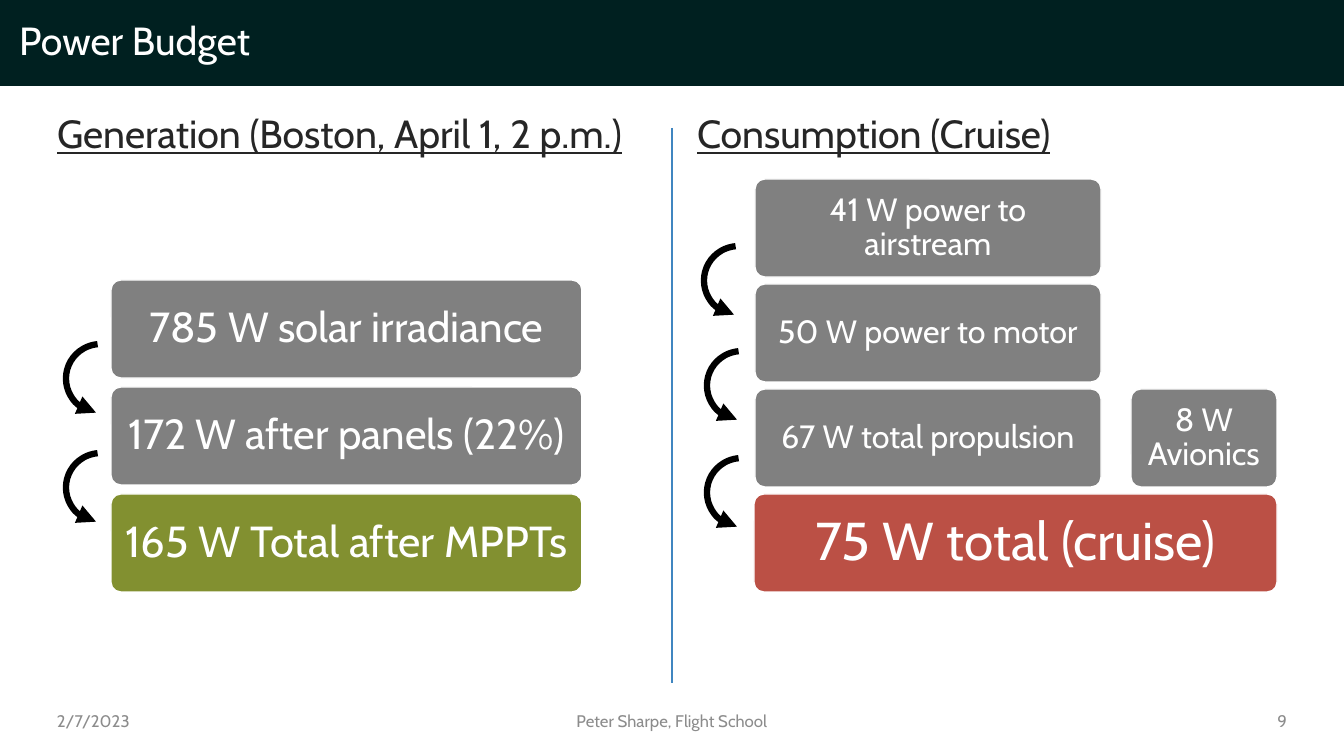
from dataclasses import dataclass

import lxml.etree
import pptx
import pptx.dml.color
import pptx.enum.shapes
import pptx.enum.text
import pptx.oxml.ns
import pptx.shapes.autoshape
import pptx.shapes.base
import pptx.slide
import pptx.text.text
import pptx.util

PX_PER_INCH = 100.8
SHAPE = pptx.enum.shapes.MSO_SHAPE
ALIGN = pptx.enum.text.PP_ALIGN
ANCHOR = pptx.enum.text.MSO_ANCHOR


@dataclass(frozen=True)
class Theme:
    font: str = "Cabin"
    band: str = "002020"
    white: str = "FFFFFF"
    heading: str = "262626"
    footer: str = "8C8C8C"
    divider: str = "4086C0"
    stage: str = "808080"
    generated: str = "829030"
    consumed: str = "BB5045"
    arrow: str = "000000"
    heading_size: int = 28
    footer_size: int = 12
    generation_size: int = 30
    generated_size: int = 31
    consumption_size: int = 23
    consumed_size: int = 38


@dataclass(frozen=True)
class Frame:
    left: int
    top: int
    width: int
    height: int


@dataclass(frozen=True)
class PowerBox:
    words: str
    left: int
    top: int
    width: int
    fill: str
    size: int


@dataclass(frozen=True)
class FooterItem:
    words: str
    frame: Frame
    align: ALIGN


THEME = Theme()
BOX_HEIGHT = 98
BOTTOM_ROW = 494
GENERATION_PITCH = 107
CONSUMPTION_PITCH = 105

POWER_BOXES = [
    *(PowerBox(words, 111, BOTTOM_ROW - row * GENERATION_PITCH, 471,
               THEME.stage, THEME.generation_size)
      for row, words in enumerate(["172 W after panels (22%)", "785 W solar irradiance"], 1)),
    PowerBox("165 W Total after MPPTs", 111, BOTTOM_ROW, 471,
             THEME.generated, THEME.generated_size),
    *(PowerBox(words, 755, BOTTOM_ROW - row * CONSUMPTION_PITCH, 346,
               THEME.stage, THEME.consumption_size)
      for row, words in enumerate(["67 W total propulsion", "50 W power to motor",
                                   "41 W power to airstream"], 1)),
    PowerBox("8 W Avionics", 1131, BOTTOM_ROW - CONSUMPTION_PITCH, 146,
             THEME.stage, THEME.consumption_size),
    PowerBox("75 W total (cruise)", 754, BOTTOM_ROW, 523,
             THEME.consumed, THEME.consumed_size),
]
ARROW_CORNERS = [(66, 344), (66, 453), (704, 246), (707, 351), (707, 458)]
HEADINGS = {
    1: ("Generation (Boston, April 1, 2 p.m.)", Frame(47, 110, 610, 50)),
    2: ("Consumption (Cruise)", Frame(687, 110, 610, 50)),
}
FOOTER = [
    FooterItem("2/7/2023", Frame(47, 701, 132, 40), ALIGN.LEFT),
    FooterItem("Peter Sharpe, Flight School", Frame(193, 701, 958, 40), ALIGN.CENTER),
    FooterItem("9", Frame(1165, 701, 132, 40), ALIGN.RIGHT),
]


def px(length: int) -> pptx.util.Emu:
    return pptx.util.Emu(round(length * pptx.util.Inches(1) / PX_PER_INCH))


def rgb(colour: str) -> pptx.dml.color.RGBColor:
    return pptx.dml.color.RGBColor.from_string(colour)


def place(shape: pptx.shapes.base.BaseShape, frame: Frame) -> None:
    shape.left, shape.top = px(frame.left), px(frame.top)
    shape.width, shape.height = px(frame.width), px(frame.height)


def write(box: pptx.shapes.base.BaseShape, words: str, size: int, colour: str,
          align: ALIGN = ALIGN.LEFT, anchor: ANCHOR = ANCHOR.MIDDLE,
          spacing: float = 0.9) -> pptx.text.text._Run:
    frame = box.text_frame
    frame.word_wrap = True
    frame.auto_size = pptx.enum.text.MSO_AUTO_SIZE.NONE
    frame.vertical_anchor = anchor
    para = frame.paragraphs[0]
    para.alignment = align
    para.line_spacing = spacing
    para.space_before = pptx.util.Pt(0)
    span = para.add_run()
    span.text = words
    span.font.name = THEME.font
    span.font.size = pptx.util.Pt(size)
    span.font.color.rgb = rgb(colour)
    return span


def add_shape(page: pptx.slide.Slide, kind: SHAPE,
              frame: Frame) -> pptx.shapes.autoshape.Shape:
    shape = page.shapes.add_shape(kind, px(frame.left), px(frame.top),
                                  px(frame.width), px(frame.height))
    shape.shadow.inherit = False
    return shape


def add_title(page: pptx.slide.Slide) -> None:
    title = page.shapes.title
    place(title, Frame(9, 16, 1250, 54))
    write(title, "Power Budget", THEME.heading_size, THEME.white)
    band = add_shape(page, SHAPE.RECTANGLE, Frame(0, 0, 1344, 86))
    band.fill.solid()
    band.fill.fore_color.rgb = rgb(THEME.band)
    band.line.fill.background()
    title.element.addprevious(band.element)


def add_headings(page: pptx.slide.Slide) -> None:
    for index, (words, frame) in HEADINGS.items():
        body = page.placeholders[index]
        place(body, frame)
        span = write(body, words, THEME.heading_size, THEME.heading, anchor=ANCHOR.TOP)
        span.font.underline = True
        properties = body.text_frame.paragraphs[0]._p.get_or_add_pPr()
        properties.set("marL", "0")
        properties.set("indent", "0")
        lxml.etree.SubElement(properties, pptx.oxml.ns.qn("a:buNone"))


def add_divider(page: pptx.slide.Slide) -> None:
    divider = page.shapes.add_connector(pptx.enum.shapes.MSO_CONNECTOR.STRAIGHT,
                                        px(672), px(128), px(672), px(683))
    divider.line.color.rgb = rgb(THEME.divider)
    divider.line.width = pptx.util.Pt(1)
    lxml.etree.SubElement(divider.element.spPr, pptx.oxml.ns.qn("a:effectLst"))


def add_footer_item(page: pptx.slide.Slide, item: FooterItem) -> None:
    frame = item.frame
    box = page.shapes.add_textbox(px(frame.left), px(frame.top),
                                  px(frame.width), px(frame.height))
    write(box, item.words, THEME.footer_size, THEME.footer, item.align, spacing=1.0)


def add_power_box(page: pptx.slide.Slide, item: PowerBox) -> None:
    box = add_shape(page, SHAPE.ROUNDED_RECTANGLE,
                    Frame(item.left, item.top, item.width, BOX_HEIGHT))
    box.adjustments[0] = 0.1
    box.fill.solid()
    box.fill.fore_color.rgb = rgb(item.fill)
    box.line.color.rgb = rgb(THEME.white)
    box.line.width = pptx.util.Pt(1)
    frame = box.text_frame
    inset = px(item.size // 3)
    frame.margin_left = frame.margin_right = inset
    frame.margin_top = frame.margin_bottom = inset
    write(box, item.words, item.size, THEME.white, ALIGN.CENTER)


def add_curved_arrow(page: pptx.slide.Slide, left: int, top: int) -> None:
    arrow = add_shape(page, SHAPE.ARC, Frame(left, top, 70, 69))
    arrow.adjustments[0] = 58.94
    arrow.adjustments[1] = 158.65
    arrow.fill.background()
    arrow.line.color.rgb = rgb(THEME.arrow)
    arrow.line.width = pptx.util.Pt(4.5)
    lxml.etree.SubElement(arrow.line._get_or_add_ln(), pptx.oxml.ns.qn("a:headEnd"),
                          type="triangle")


def main() -> None:
    deck = pptx.Presentation()
    deck.slide_width, deck.slide_height = px(1344), px(756)
    page = deck.slides.add_slide(deck.slide_layouts.get_by_name("Two Content"))
    add_title(page)
    add_headings(page)
    add_divider(page)
    for footer_item in FOOTER:
        add_footer_item(page, footer_item)
    for power_box in POWER_BOXES:
        add_power_box(page, power_box)
    for left, top in ARROW_CORNERS:
        add_curved_arrow(page, left, top)
    deck.save("out.pptx")


if __name__ == "__main__":
    main()
